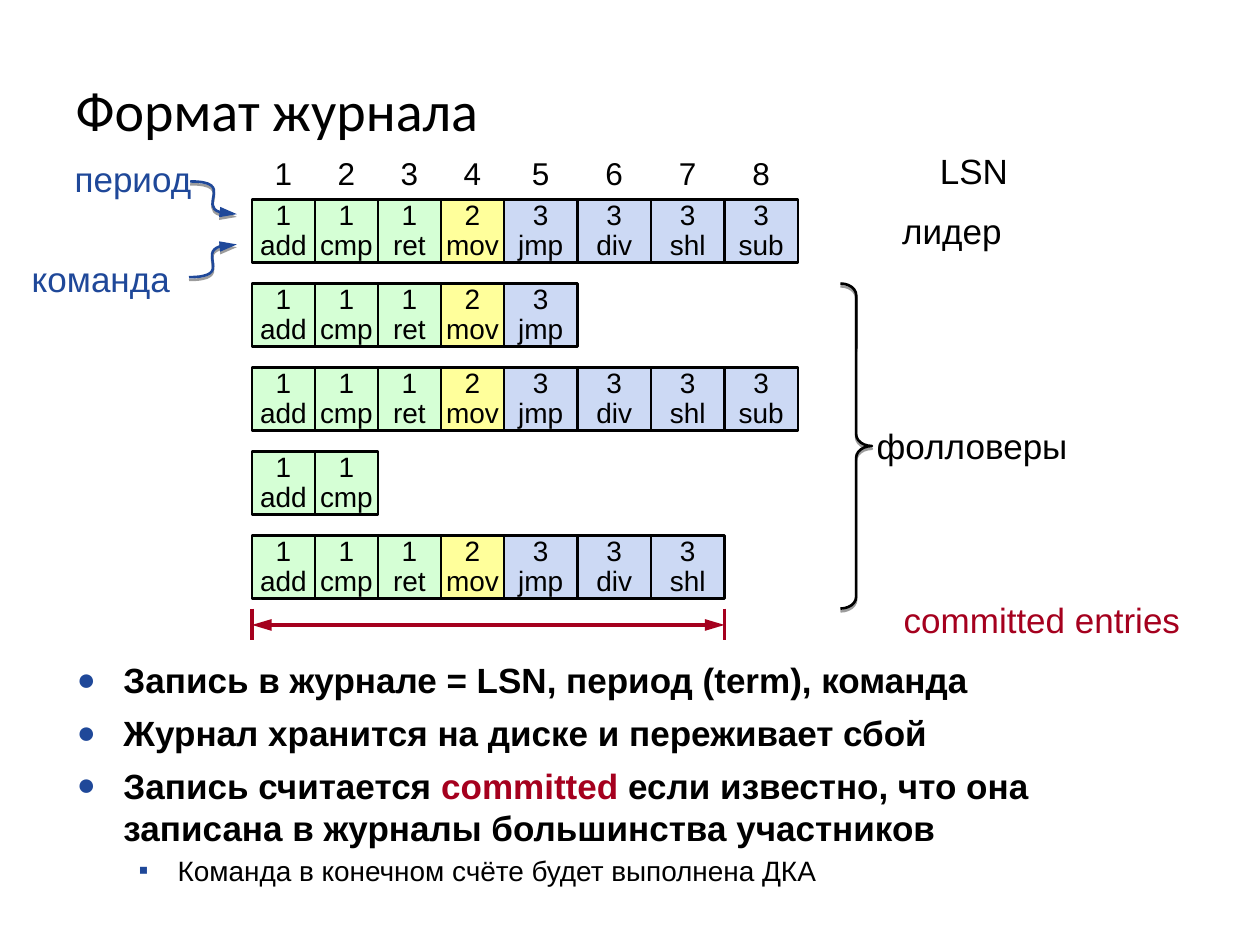
import pptx
import pptx.dml.color
import pptx.enum.shapes
import pptx.enum.text
import pptx.oxml
import pptx.oxml.ns
import pptx.util
from pptx.util import Inches

RGBColor = pptx.dml.color.RGBColor
BLACK = RGBColor(0x00, 0x00, 0x00)
BLUE = RGBColor(0x1F, 0x48, 0x99)
RED = RGBColor(0xA5, 0x00, 0x1E)
TERM_COLORS = {
    1: RGBColor(0xD5, 0xFF, 0xD5),
    2: RGBColor(0xFF, 0xFF, 0x9B),
    3: RGBColor(0xCC, 0xD9, 0xF4),
}

ENTRIES = [(1, "add"), (1, "cmp"), (1, "ret"), (2, "mov"),
           (3, "jmp"), (3, "div"), (3, "shl"), (3, "sub")]
WIDTHS = [0.5] * 4 + [7 / 12] * 4
LEFTS = [2 + sum(WIDTHS[:index]) for index in range(len(WIDTHS))]
LOG_LENGTHS = [8, 5, 8, 2, 7]
LOG_TOP = 19 / 12
LOG_PITCH = 2 / 3

LABELS = [
    ("лидер", 7.15, 1.66, 0.81, BLACK),
    ("LSN", 7.44, 1.19, 0.58, BLACK),
    ("фолловеры", 6.94, 3.37, 1.55, BLACK),
    ("committed entries", 7.16, 4.75, 2.22, RED),
    ("период", 0.58, 1.25, 0.95, BLUE),
    ("команда", 0.24, 2.04, 1.12, BLUE),
]

BULLETS = [
    (0, [("Запись в журнале = LSN, период (term), команда", None)]),
    (0, [("Журнал хранится на диске и переживает сбой", None)]),
    (0, [("Запись считается ", None), ("committed", RED),
         (" если известно, что она записана в журналы большинства участников", None)]),
    (1, [("Команда в конечном счёте будет выполнена ДКА", None)]),
]


def add_xml(parent, tag, **attributes):
    element = pptx.oxml.parse_xml(f"<a:{tag} {pptx.oxml.ns.nsdecls('a')}/>")
    for name, value in attributes.items():
        element.set(name, str(value))
    parent.append(element)
    return element


def set_font(paragraph, size, color=BLACK, name="Arial", bold=False):
    paragraph.font.name = name
    paragraph.font.size = pptx.util.Pt(size)
    paragraph.font.bold = bold
    paragraph.font.color.rgb = color


def set_margins(text_frame, margin):
    text_frame.margin_left = text_frame.margin_right = Inches(margin)
    text_frame.margin_top = text_frame.margin_bottom = Inches(margin)


def place(shape, left, top, width, height):
    shape.left, shape.top = Inches(left), Inches(top)
    shape.width, shape.height = Inches(width), Inches(height)


def set_line(shape, color, width):
    shape.line.color.rgb = color
    shape.line.width = pptx.util.Pt(width)


def add_arrowheads(shape, *tags):
    for tag in tags:
        add_xml(shape.line._get_or_add_ln(), tag, type="triangle", w="med", len="lg")


def add_shadow(shape):
    shape.shadow.inherit = False
    effects = shape._element.spPr.find(pptx.oxml.ns.qn("a:effectLst"))
    shadow = add_xml(effects, "outerShdw", blurRad=0, dist=20000, dir=5400000, rotWithShape=0)
    add_xml(add_xml(shadow, "srgbClr", val=BLACK), "alpha", val=38000)


def fill_title(title):
    place(title, 0.5, 0.53, 9, 0.67)
    title.text_frame.auto_size = pptx.enum.text.MSO_AUTO_SIZE.NONE
    title.text_frame.vertical_anchor = pptx.enum.text.MSO_ANCHOR.MIDDLE
    paragraph = title.text_frame.paragraphs[0]
    paragraph.text = "Формат журнала"
    paragraph.alignment = pptx.enum.text.PP_ALIGN.LEFT
    set_font(paragraph, 32, name="Calibri")


def fill_body(body):
    place(body, 0.5, 5.18, 9, 1.58)
    text_frame = body.text_frame
    text_frame.auto_size = pptx.enum.text.MSO_AUTO_SIZE.NONE
    for index, (level, runs) in enumerate(BULLETS):
        paragraph = text_frame.add_paragraph() if index else text_frame.paragraphs[0]
        paragraph.level = level
        margin, indent, character, percent, size, gap = (
            (0.81, -0.31, "▪", 100, 16, 3) if level else (0.38, -0.37, "●", 90, 20, 6))
        properties = paragraph._p.get_or_add_pPr()
        properties.set("marL", str(Inches(margin)))
        properties.set("indent", str(Inches(indent)))
        add_xml(add_xml(properties, "buClr"), "srgbClr", val=BLUE)
        add_xml(properties, "buSzPct", val=percent * 1000)
        add_xml(properties, "buFont", typeface="Arial")
        add_xml(properties, "buChar", char=character)
        set_font(paragraph, size, bold=level == 0)
        paragraph.space_before = pptx.util.Pt(gap if index else 0)
        for text, color in runs:
            run = paragraph.add_run()
            run.text = text
            if color is not None:
                run.font.color.rgb = color


def add_label(slide, text, left, top, width, height, size, color=BLACK, margin=0, wrap=False):
    box = slide.shapes.add_textbox(Inches(left), Inches(top), Inches(width), Inches(height))
    text_frame = box.text_frame
    text_frame.word_wrap = wrap
    text_frame.auto_size = pptx.enum.text.MSO_AUTO_SIZE.SHAPE_TO_FIT_TEXT
    set_margins(text_frame, margin)
    paragraph = text_frame.paragraphs[0]
    paragraph.text = text
    paragraph.alignment = pptx.enum.text.PP_ALIGN.CENTER
    set_font(paragraph, size, color)


def add_entry(slide, term, command, left, top, width):
    cell = slide.shapes.add_shape(pptx.enum.shapes.MSO_SHAPE.RECTANGLE, Inches(left),
                                  Inches(top), Inches(width), Inches(0.5))
    cell.shadow.inherit = False
    cell.fill.solid()
    cell.fill.fore_color.rgb = TERM_COLORS[term]
    set_line(cell, BLACK, 1.5)
    set_margins(cell.text_frame, 0)
    cell.text_frame.vertical_anchor = pptx.enum.text.MSO_ANCHOR.MIDDLE
    paragraph = cell.text_frame.paragraphs[0]
    paragraph.text = f"{term}\v{command}"
    paragraph.alignment = pptx.enum.text.PP_ALIGN.CENTER
    paragraph.line_spacing = pptx.util.Pt(17)
    set_font(paragraph, 16)


def add_logs(slide):
    for number, (left, width) in enumerate(zip(LEFTS, WIDTHS), start=1):
        add_label(slide, str(number), left, 1.17, width, 0.4, 18, margin=0.05, wrap=True)
    for row, length in enumerate(LOG_LENGTHS):
        for (term, command), left, width in zip(ENTRIES[:length], LEFTS, WIDTHS):
            add_entry(slide, term, command, left, LOG_TOP + row * LOG_PITCH, width)


def add_brace(slide):
    brace = slide.shapes.add_shape(pptx.enum.shapes.MSO_SHAPE.RIGHT_BRACE, Inches(6.67),
                                   Inches(2.25), Inches(0.25), Inches(2.58))
    brace.adjustments[0] = 0.37
    brace.fill.background()
    set_line(brace, BLACK, 1.5)
    add_shadow(brace)


def add_line(slide, start, end, arrows=False):
    connector = slide.shapes.add_connector(
        pptx.enum.shapes.MSO_CONNECTOR.STRAIGHT, *map(Inches, start + end))
    set_line(connector, RED, 2.25)
    if arrows:
        add_arrowheads(connector, "headEnd", "tailEnd")
    add_xml(connector._element.spPr, "effectLst")


def add_curved_arrow(slide, start, *points):
    builder = slide.shapes.build_freeform(*map(Inches, start), scale=1.0)
    builder.add_line_segments([tuple(map(Inches, point)) for point in points], close=False)
    curve = builder.convert_to_shape()
    outline = curve._element.spPr.find(".//" + pptx.oxml.ns.qn("a:path"))
    bezier = add_xml(outline, "cubicBezTo")
    for segment in outline.findall(pptx.oxml.ns.qn("a:lnTo")):
        bezier.append(segment[0])
        outline.remove(segment)
    curve.fill.background()
    set_line(curve, BLUE, 1.5)
    add_arrowheads(curve, "tailEnd")
    add_shadow(curve)


def main():
    presentation = pptx.Presentation()
    presentation.slide_width, presentation.slide_height = Inches(10), Inches(7.5)
    slide = presentation.slides.add_slide(presentation.slide_layouts[1])
    fill_title(slide.shapes.title)
    fill_body(slide.placeholders[1])
    add_logs(slide)
    add_brace(slide)
    for x in (2, 5.75):
        add_line(slide, (x, 4.83), (x, 5.08))
    add_line(slide, (2, 4.96), (5.75, 4.96), arrows=True)
    for text, left, top, width, color in LABELS:
        add_label(slide, text, left, top, width, 0.33, 20, color)
    add_curved_arrow(slide, (1.51, 1.44), (1.87, 1.44), (1.47, 1.7), (1.88, 1.7))
    add_curved_arrow(slide, (1.5, 2.2), (1.86, 2.2), (1.47, 1.94), (1.88, 1.94))
    presentation.save("out.pptx")


if __name__ == "__main__":
    main()
